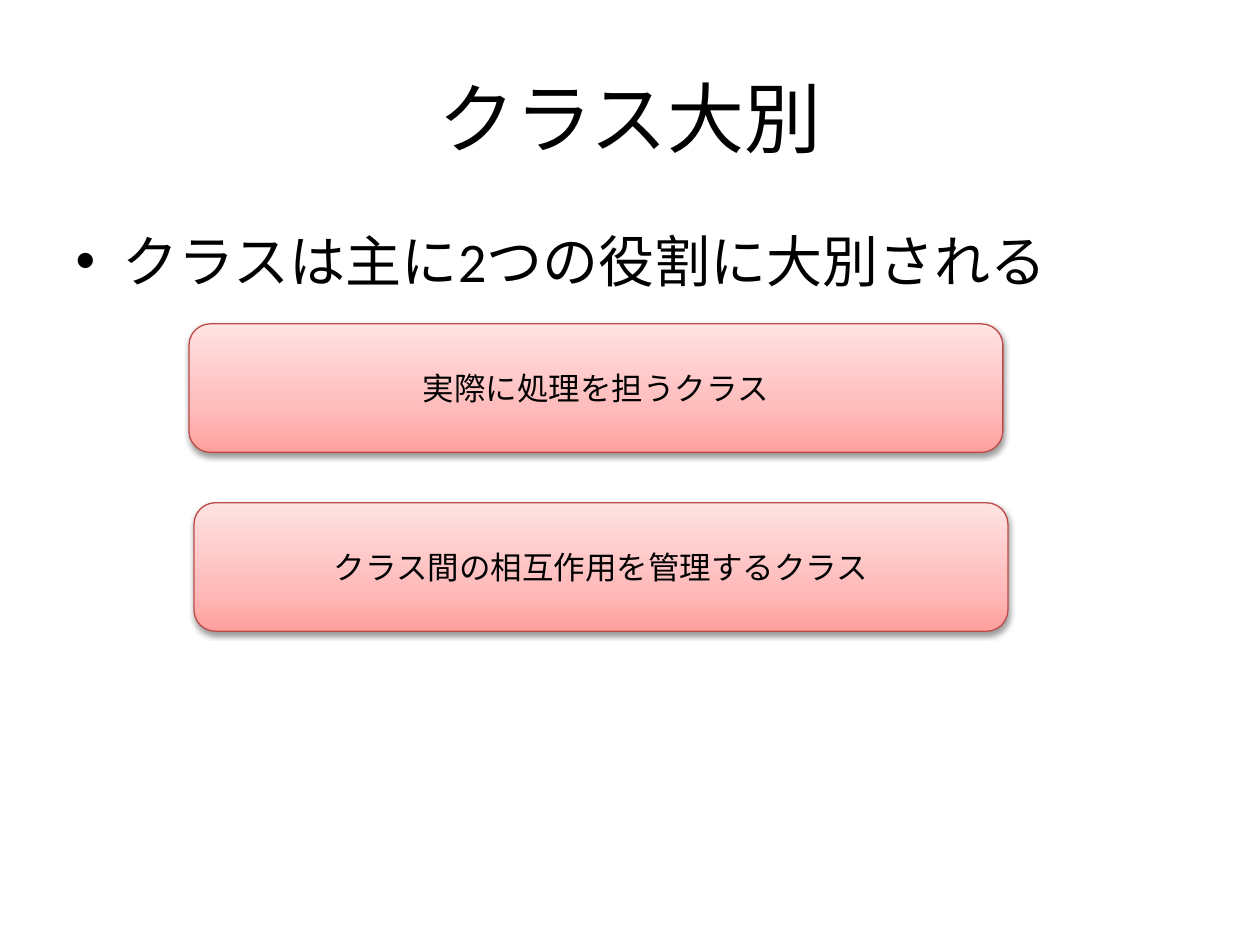
import pptx
import pptx.util
import pptx.dml.color
import pptx.enum.shapes
import pptx.enum.text
import pptx.oxml
import pptx.oxml.ns

RGB = pptx.dml.color.RGBColor
BLACK = RGB(0x00, 0x00, 0x00)
EDGE = RGB(0xBD, 0x4B, 0x48)
DEEP = RGB(0xFF, 0xA0, 0x9D)
ROSE = RGB(0xFF, 0xBC, 0xBC)
PALE = RGB(0xFF, 0xE2, 0xE2)
STOPS = ((0, DEEP), (35, ROSE), (100, PALE))
FONT = "Calibri"
WIDE = pptx.util.Inches(10)
HIGH = pptx.util.Inches(7.5)
ROLES = (
    (0.15, "実際に処理を担うクラス"),
    (0.154, "クラス間の相互作用を管理するクラス"),
)
TOP = 2.57 / 7.5
STEP = 1.42 / 7.5
NS = pptx.oxml.ns.nsdecls("a")


def place(shape, left, top, width, height):
    shape.left, shape.width = int(WIDE * left), int(WIDE * width)
    shape.top, shape.height = int(HIGH * top), int(HIGH * height)


def write(shape, text, size, align=None, anchor=None):
    frame = shape.text_frame
    frame.word_wrap = True
    frame.vertical_anchor = anchor
    para = frame.paragraphs[0]
    para.text = text
    para.alignment = align
    para.space_before = pptx.util.Pt(0)
    para.font.size = pptx.util.Pt(size)
    para.font.name = FONT
    para.font.color.rgb = BLACK


def center(shape, text, size):
    write(shape, text, size, pptx.enum.text.PP_ALIGN.CENTER,
          pptx.enum.text.MSO_ANCHOR.MIDDLE)


def shade(shape):
    shape.fill.gradient()
    shape.fill.gradient_angle = 90
    stops = shape._element.spPr.find(".//" + pptx.oxml.ns.qn("a:gsLst"))
    for stop in list(stops):
        stops.remove(stop)
    for share, color in STOPS:
        stops.append(pptx.oxml.parse_xml(
            f'<a:gs {NS} pos="{share * 1000}"><a:srgbClr val="{color}"/></a:gs>'))


def cast(shape):
    shape.shadow.inherit = False
    effects = shape._element.spPr.find(pptx.oxml.ns.qn("a:effectLst"))
    effects.append(pptx.oxml.parse_xml(
        f'<a:outerShdw {NS} blurRad="40000" dist="20000" dir="5400000" '
        f'rotWithShape="0"><a:srgbClr val="{BLACK}"><a:alpha val="38000"/>'
        '</a:srgbClr></a:outerShdw>'))


def add_role(slide, left, top, text):
    kind = pptx.enum.shapes.MSO_SHAPE.ROUNDED_RECTANGLE
    card = slide.shapes.add_shape(kind, 0, 0, 0, 0)
    place(card, left, top, 0.646, 1.02 / 7.5)
    shade(card)
    card.line.color.rgb = EDGE
    card.line.width = pptx.util.Pt(0.75)
    cast(card)
    center(card, text, 18)


def main():
    deck = pptx.Presentation()
    deck.slide_width, deck.slide_height = WIDE, HIGH
    slide = deck.slides.add_slide(deck.slide_layouts[1])
    title, body = slide.placeholders
    place(title, 0.05, 0.04, 0.9, 1.25 / 7.5)
    center(title, "クラス大別", 44)
    place(body, 0.05, 1.75 / 7.5, 0.9, 0.82 / 7.5)
    write(body, "クラスは主に2つの役割に大別される", 32)
    for row, (left, text) in enumerate(ROLES):
        add_role(slide, left, TOP + row * STEP, text)
    deck.save("out.pptx")


if __name__ == "__main__":
    main()
